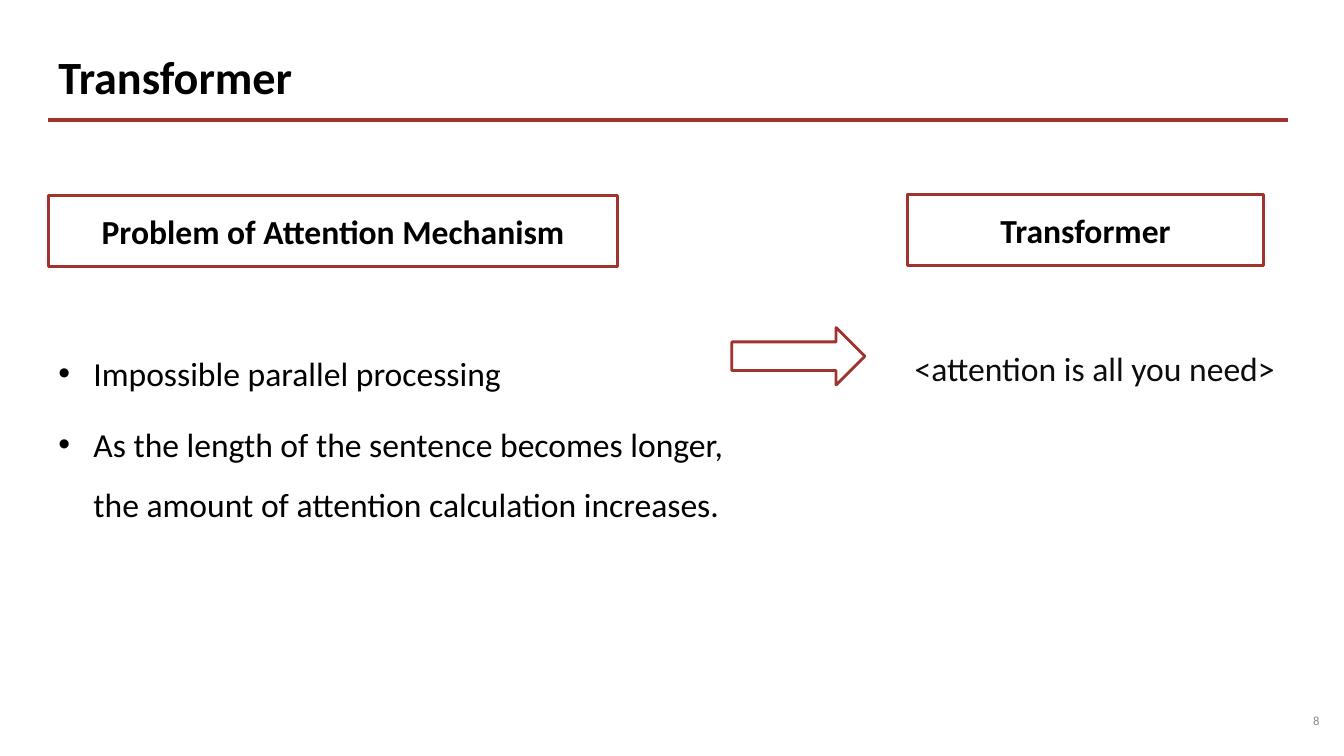
from dataclasses import dataclass

from lxml import etree
from pptx import Presentation
from pptx import util as u
from pptx.dml import color
from pptx.enum import shapes, text
from pptx.oxml import ns
from pptx.shapes.base import BaseShape
from pptx.slide import Slide
from pptx.text.text import TextFrame

FONT = "Calibri"
RED = "A0332D"
BLACK = "000000"


@dataclass(frozen=True)
class Area:
    left: float
    top: float
    width: float
    height: float


@dataclass(frozen=True)
class Style:
    size: float
    colour: str = BLACK
    bold: bool = False
    align: text.PP_ALIGN = text.PP_ALIGN.LEFT
    anchor: text.MSO_ANCHOR = text.MSO_ANCHOR.TOP


@dataclass(frozen=True)
class Outline:
    kind: shapes.MSO_SHAPE
    area: Area
    label: str = ""


@dataclass(frozen=True)
class Note:
    area: Area
    words: str
    style: Style


TITLE = Style(33, bold=True, anchor=text.MSO_ANCHOR.MIDDLE)
HEADING = Style(24, bold=True, align=text.PP_ALIGN.CENTER, anchor=text.MSO_ANCHOR.MIDDLE)
BODY = Style(24)
CAPTION = Style(24, "0D0D0D", align=text.PP_ALIGN.CENTER)
NUMBER = Style(9, "8C8C8C", align=text.PP_ALIGN.RIGHT, anchor=text.MSO_ANCHOR.MIDDLE)

PROBLEMS = (
    "Impossible parallel processing",
    "As the length of the sentence becomes longer, the amount of attention calculation increases.",
)
OUTLINES = (
    Outline(shapes.MSO_SHAPE.RECTANGLE, Area(34.5, 139.8, 406.8, 50.8), "Problem of Attention Mechanism"),
    Outline(shapes.MSO_SHAPE.RECTANGLE, Area(648, 139, 254.8, 50.8), "Transformer"),
    Outline(shapes.MSO_SHAPE.RIGHT_ARROW, Area(522.7, 234, 95, 41)),
)
NOTES = (
    Note(Area(638.6, 244.8, 286.6, 36), "<attention is all you need>", CAPTION),
    Note(Area(733.7, 500.4, 216, 28.8), "8", NUMBER),
)


def rgb(value: str) -> color.RGBColor:
    return color.RGBColor.from_string(value)


def place(shape: BaseShape, area: Area) -> None:
    shape.left, shape.top = u.Pt(area.left), u.Pt(area.top)
    shape.width, shape.height = u.Pt(area.width), u.Pt(area.height)


def write(frame: TextFrame, words: str, style: Style) -> None:
    frame.text = words
    frame.word_wrap = True
    frame.auto_size = text.MSO_AUTO_SIZE.NONE
    frame.vertical_anchor = style.anchor
    for para in frame.paragraphs:
        para.alignment = style.align
        for span in para.runs:
            span.font.name = FONT
            span.font.size = u.Pt(style.size)
            span.font.bold = style.bold
            span.font.color.rgb = rgb(style.colour)


def add_title(page: Slide) -> None:
    title = page.shapes.title
    place(title, Area(34.5, 28.8, 885.6, 55.4))
    write(title.text_frame, "Transformer", TITLE)
    title.text_frame.paragraphs[0].line_spacing = 0.9


def add_rule(page: Slide) -> None:
    rule = page.shapes.add_connector(
        shapes.MSO_CONNECTOR.STRAIGHT, u.Pt(34), u.Pt(85.8), u.Pt(920), u.Pt(85.8)
    )
    rule.line.color.rgb = rgb(RED)
    rule.line.width = u.Pt(3)
    etree.SubElement(rule.element.spPr, ns.qn("a:effectLst"))


def add_problems(page: Slide) -> None:
    body = page.placeholders[1]
    place(body, Area(34.5, 234, 514, 152))
    write(body.text_frame, "\n".join(PROBLEMS), BODY)
    indent = u.Pt(25)
    for para in body.text_frame.paragraphs:
        para.line_spacing = 1.5
        para.space_before = u.Pt(7.5)
        properties = para._p.get_or_add_pPr()
        properties.set("marL", str(indent))
        properties.set("indent", str(-indent))
        bullet = etree.SubElement(properties, ns.qn("a:buFont"))
        bullet.set("typeface", "Arial")
        etree.SubElement(properties, ns.qn("a:buChar")).set("char", "•")


def add_outline(page: Slide, outline: Outline) -> None:
    box = page.shapes.add_shape(outline.kind, 0, 0, 0, 0)
    place(box, outline.area)
    box.shadow.inherit = False
    box.fill.background()
    box.line.color.rgb = rgb(RED)
    box.line.width = u.Pt(2)
    if outline.label:
        write(box.text_frame, outline.label, HEADING)


def add_note(page: Slide, note: Note) -> None:
    box = page.shapes.add_textbox(0, 0, 0, 0)
    place(box, note.area)
    write(box.text_frame, note.words, note.style)


def main() -> None:
    deck = Presentation()
    deck.slide_width, deck.slide_height = u.Pt(960), u.Pt(540)
    page = deck.slides.add_slide(deck.slide_layouts[1])
    add_title(page)
    add_rule(page)
    add_problems(page)
    for outline in OUTLINES:
        add_outline(page, outline)
    for note in NOTES:
        add_note(page, note)
    deck.save("out.pptx")


if __name__ == "__main__":
    main()
